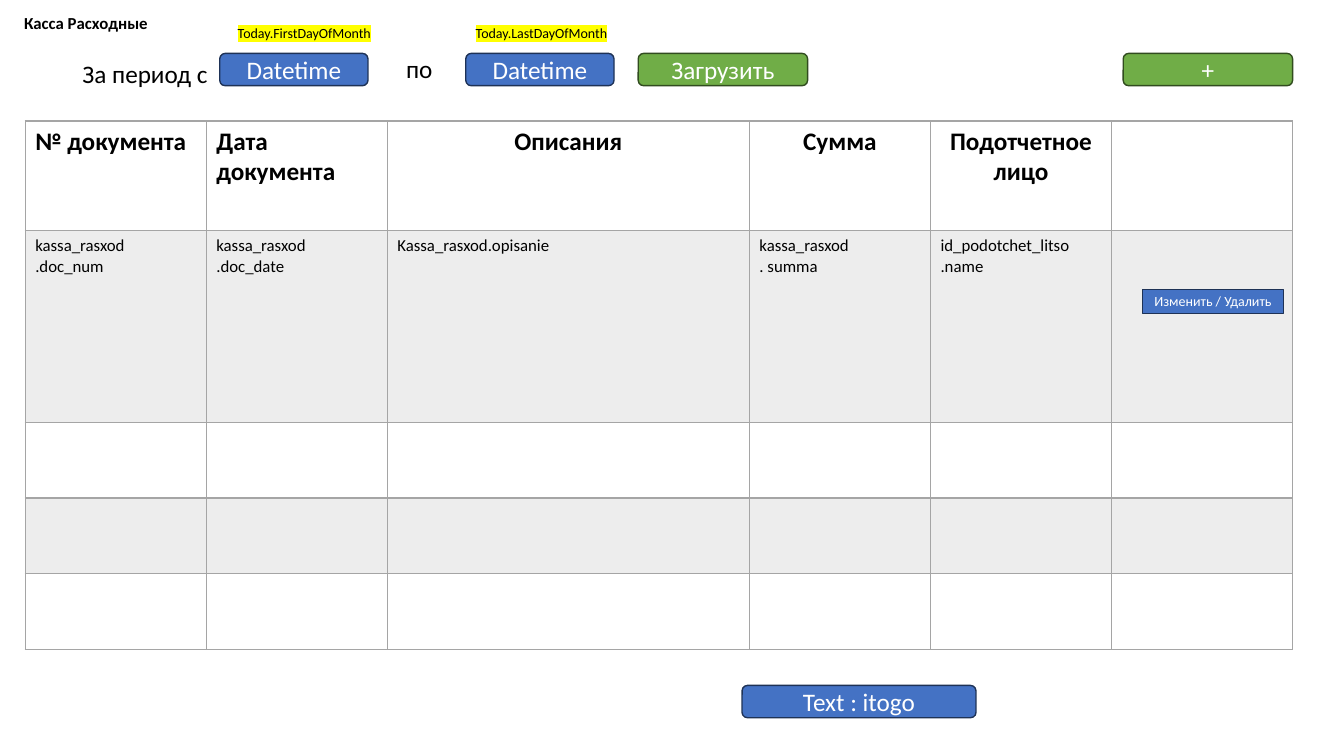
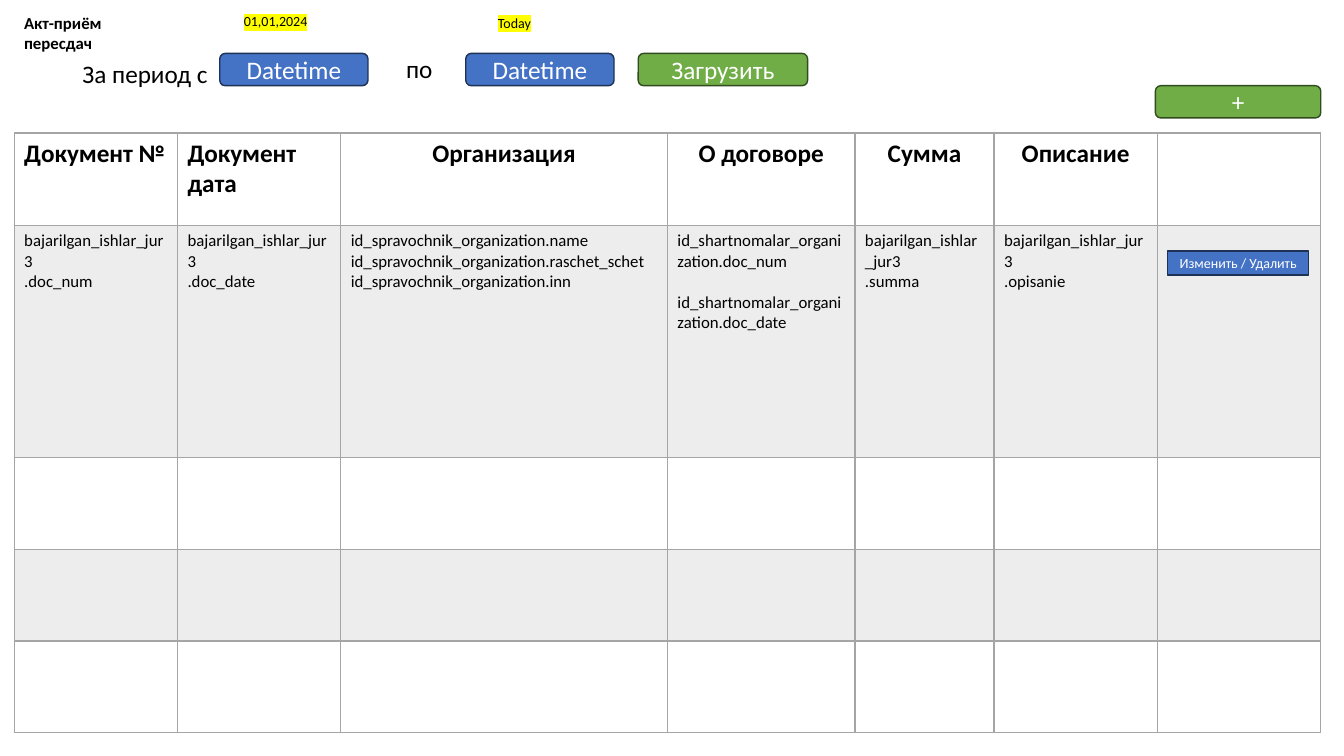
import lxml.etree
import pptx
import pptx.dml.color
import pptx.enum.shapes
import pptx.enum.text
import pptx.oxml.ns
import pptx.util

PX = 9144  # 100 px to the inch
BLUE, GREEN = ("4472C4", "1E3256"), ("70AD47", "314C1F")
BLACK, WHITE, YELLOW = "000000", "FFFFFF", "FFFF00"
GRID, BAND = "A5A5A5", "EDEDED"
ROUND = pptx.enum.shapes.MSO_SHAPE.ROUNDED_RECTANGLE
RECT = pptx.enum.shapes.MSO_SHAPE.RECTANGLE
LEFT = pptx.enum.text.PP_ALIGN.LEFT
CENTER = pptx.enum.text.PP_ALIGN.CENTER
MIDDLE = pptx.enum.text.MSO_ANCHOR.MIDDLE
FIT = pptx.enum.text.MSO_AUTO_SIZE.SHAPE_TO_FIT_TEXT
NORMAL = {"name": "Calibri", "size": pptx.util.Pt(18), "bold": False}
HEAD = NORMAL | {"bold": True}
BODY = NORMAL | {"size": pptx.util.Pt(12)}
TITLE = BODY | {"bold": True}
SMALL = NORMAL | {"size": pptx.util.Pt(10)}
GAP = pptx.util.Pt(14.6)

EXPENSE = {
    "title": "Касса Расходные",
    "hints": [("Today.FirstDayOfMonth", (226, 19, 157, 27)),
              ("Today.LastDayOfMonth", (462, 19, 155, 27))],
    "box": (25, 120, 1257, 524),
    "cols": [1, 1, 2, 1, 1, 1],
    "rows": [109, 190, 75, 75, 75],
    "heads": ["№ документа", "Дата документа", "Описания", "Сумма",
              "Подотчетное лицо"],
    "fields": [["kassa_rasxod", ".doc_num"], ["kassa_rasxod", ".doc_date"],
               ["Kassa_rasxod.opisanie"], ["kassa_rasxod", ". summa"],
               ["id_podotchet_litso", ".name"]],
    "edit": (1108, 167),
    "add": (1114, 53, 168, 32),
    "total": (736, 680, 232, 32),
}
JOB = "bajarilgan_ishlar_jur3"
ORG = "id_spravochnik_organization"
DEAL = "id_shartnomalar_organization"
ACT = {
    "title": "Акт-приём пересдач",
    "hints": [("01,01,2024", (232, 8, 85, 27)), ("Today", (484, 9, 55, 27))],
    "box": (14, 132, 1296, 595),
    "cols": [162, 162, 324, 186, 138, 162, 162],
    "rows": [92, 230, 91, 91, 91],
    "heads": ["Документ №", "Документ дата", "Организация", "О договоре",
              "Сумма", "Описание"],
    "fields": [[JOB, ".doc_num"], [JOB, ".doc_date"],
               [ORG + ".name", ORG + ".raschet_schet", ORG + ".inn"],
               [DEAL + ".doc_num", DEAL + ".doc_date"],
               [JOB, ".summa"], [JOB, ".opisanie"]],
    "spaced": 3,
    "edit": (1144, 117),
    "add": (1146, 85, 164, 32),
}


def emu(*sizes):
    return [round(size * PX) for size in sizes]


def rgb(code):
    return pptx.dml.color.RGBColor.from_string(code)


def write(frame, lines, form, color=BLACK, align=LEFT, gap=0):
    """Fill a text frame, one paragraph a line, and return the runs."""
    runs = []
    for num, line in enumerate(lines):
        para = frame.add_paragraph() if num else frame.paragraphs[0]
        para.alignment = align
        if num:
            para.space_before = gap
        run = para.add_run()
        run.text = line
        for key, value in form.items():
            setattr(run.font, key, value)
        run.font.color.rgb = rgb(color)
        runs.append(run)
    return runs


def label(slide, text, box, form, wrap=False):
    frame = slide.shapes.add_textbox(*emu(*box)).text_frame
    frame.word_wrap = wrap
    frame.auto_size = FIT
    return write(frame, [text], form)[0]


def hint(slide, text, box):
    """Add a small label with a yellow highlight."""
    run = label(slide, text, box, SMALL)
    qn = pptx.oxml.ns.qn
    mark = lxml.etree.Element(qn("a:highlight"))
    lxml.etree.SubElement(mark, qn("a:srgbClr"), val=YELLOW)
    run.font._element.find(qn("a:latin")).addprevious(mark)


def button(slide, text, box, tone=BLUE, kind=ROUND, form=NORMAL):
    shape = slide.shapes.add_shape(kind, *emu(*box))
    shape.shadow.inherit = False
    shape.fill.solid()
    shape.fill.fore_color.rgb = rgb(tone[0])
    shape.line.color.rgb = rgb(tone[1])
    shape.line.width = pptx.util.Pt(1)
    shape.text_frame.vertical_anchor = MIDDLE
    write(shape.text_frame, [text], form, WHITE, CENTER)


def border(cell):
    qn = pptx.oxml.ns.qn
    props = cell._tc.get_or_add_tcPr()
    for num, side in enumerate("LRTB"):
        line = lxml.etree.Element(qn("a:ln" + side), w=str(pptx.util.Pt(1)))
        fill = lxml.etree.SubElement(line, qn("a:solidFill"))
        lxml.etree.SubElement(fill, qn("a:srgbClr"), val=GRID)
        props.insert(num, line)


def top(slide, page):
    """Place the title and the period filter."""
    label(slide, page["title"], (14, 8, 160, 30), TITLE, True)
    for left in (218, 462):
        button(slide, "Datetime", (left, 53, 147, 32))
    label(slide, "За период с", (72, 53, 146, 40), NORMAL)
    label(slide, "по", (393, 48, 47, 40), NORMAL)
    button(slide, "Загрузить", (633, 53, 168, 32), GREEN)
    button(slide, "+", page["add"], GREEN)
    for text, box in page["hints"]:
        hint(slide, text, box)


def grid(slide, page):
    """Place the table and the edit button on it."""
    box, cols, rows = page["box"], page["cols"], page["rows"]
    table = slide.shapes.add_table(len(rows), len(cols), *emu(*box)).table
    table.first_row = table.horz_banding = False
    for col, share in zip(table.columns, cols):
        col.width = emu(box[2] * share / sum(cols))[0]
    for num, (row, height) in enumerate(zip(table.rows, rows)):
        row.height = emu(height)[0]
        for cell in row.cells:
            if num % 2:
                cell.fill.solid()
                cell.fill.fore_color.rgb = rgb(BAND)
            else:
                cell.fill.background()
            border(cell)
    for num, (head, lines) in enumerate(zip(page["heads"], page["fields"])):
        align = LEFT if num < 2 else CENTER
        write(table.cell(0, num).text_frame, [head], HEAD, align=align)
        gap = GAP if num == page.get("spaced") else 0
        write(table.cell(1, num).text_frame, lines, BODY, gap=gap)
    left, down = page["edit"]
    button(slide, "Изменить / Удалить", (box[0] + left, box[1] + down, 140, 24),
           kind=RECT, form=SMALL)


def main():
    deck = pptx.Presentation()
    deck.slide_width, deck.slide_height = emu(1333, 750)
    for page in (EXPENSE, ACT):
        slide = deck.slides.add_slide(deck.slide_layouts[6])
        top(slide, page)
        grid(slide, page)
        if "total" in page:
            button(slide, "Text : itogo", page["total"])
    deck.save("out.pptx")


if __name__ == "__main__":
    main()
